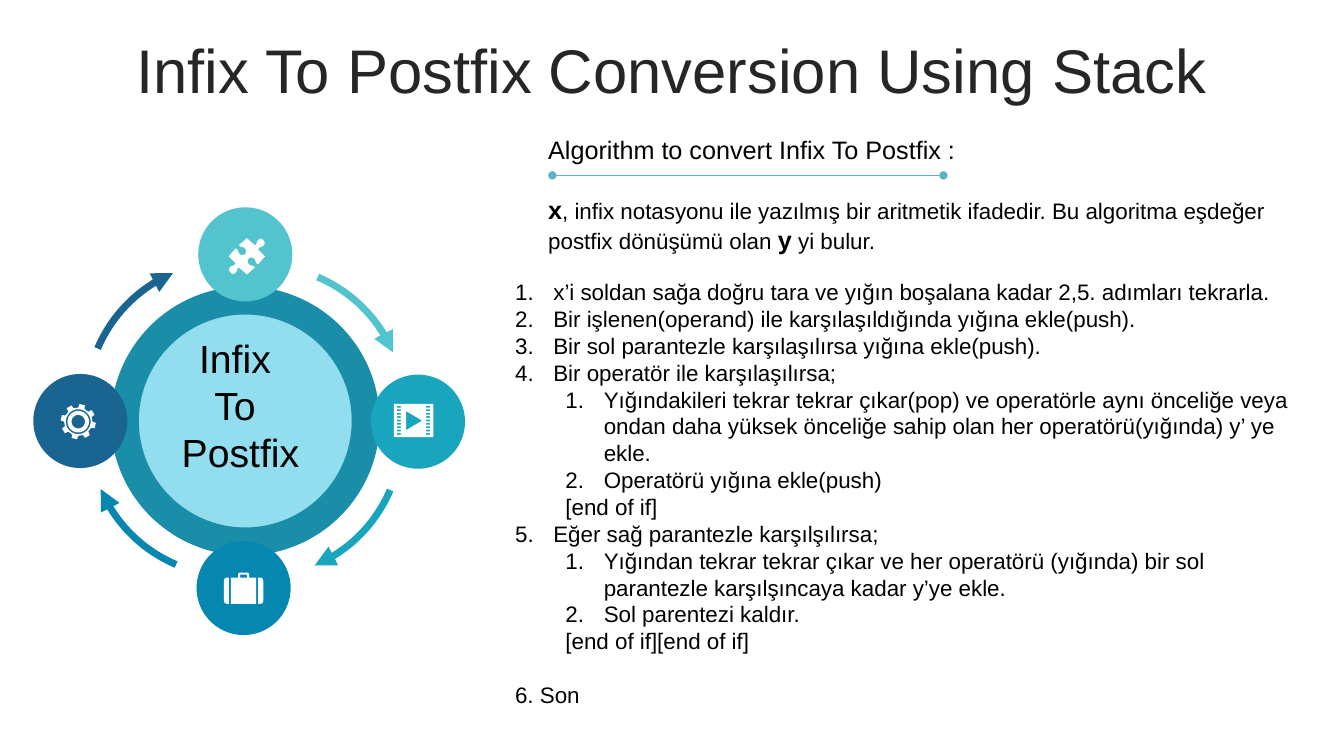
import math

import pptx
import pptx.dml.color
import pptx.enum.shapes
import pptx.enum.text
import pptx.oxml.ns
import pptx.util
from lxml import etree

CELL = 304800  # grid of 40 columns by 22.5 rows
COLS, ROWS = 40, 22.5
ICON_UNIT = 0.03  # icon outlines are drawn in hundredths of an inch
COLORS = {
    "title": "262626", "text": "000000", "icon": "FFFFFF", "rule": "5AB4C1",
    "disc": "92DDEE", "ring": "1A8EA9",
    "aqua": "53C3CD", "teal": "19A5BE", "blue": "0587AF", "navy": "196491",
}
ALIGN = pptx.enum.text.PP_ALIGN
ANCHOR = pptx.enum.text.MSO_ANCHOR


def cells(n):
    return pptx.util.Emu(round(n * CELL))


def rgb(name):
    return pptx.dml.color.RGBColor.from_string(COLORS[name])


def arc(cx, cy, r, start, end, steps=24):
    """Points from start to end degrees, clockwise from the right."""
    angles = [math.radians(start + (end - start) * i / steps) for i in range(steps + 1)]
    return [(cx + r * math.cos(a), cy + r * math.sin(a)) for a in angles]


def flatten(steps, n=6):
    """Turn (x, y) corners and (x1, y1, x2, y2, x, y) Bezier steps into points."""
    pts = []
    for step in steps:
        if len(step) == 2:
            pts.append(step)
            continue
        ctrl = [pts[-1], step[:2], step[2:4], step[4:]]
        for i in range(1, n + 1):
            t = i / n
            w = ((1 - t) ** 3, 3 * t * (1 - t) ** 2, 3 * t * t * (1 - t), t ** 3)
            pts.append(tuple(sum(k * p[d] for k, p in zip(w, ctrl)) for d in (0, 1)))
    return pts


def rect(left, top, right, bottom):
    return [(left, top), (right, top), (right, bottom), (left, bottom)]


def puzzle():
    half = flatten([
        (16, -16), (18, -15, 18, -13, 17, -11), (15, -9, 13, -10, 11, -7), (18, 0), (11, 8),
        (8, 6, 9, 4, 7, 2), (5, 1, 3, 1, 2, 2), (1, 3, 0, 6, 2, 8), (4, 10, 5, 8, 8, 11),
        (0, 18), (-8, 11), (-11, 13, -9, 14, -11, 16), (-13, 18, -15, 18, -16, 16)])
    return [half + [(-x, -y) for x, y in half]]


def film():
    holes = [rect(x, y, x + 4, y + 1.7)
             for x in (-16.5, 12.5) for y in (-14.5 + 3.37 * i for i in range(9))]
    return [rect(-19.5, -16.5, 19.5, 16.5), [(-7.5, -9.5), (-7.5, 9.5), (8.5, 0)]] + holes


def briefcase():
    side = flatten([(14.5, -11), (16.5, -11), (18.5, -11, 19.5, -9, 19.5, -8), (19.5, 12),
                    (19.5, 14, 18.5, 15, 16.5, 15), (14.5, 15)])
    middle = flatten([(3.5, -16), (4.5, -16, 5.5, -15, 5.5, -14), (5.5, -11), (12.5, -11), (12.5, 15)])
    body = middle + [(-x, y) for x, y in reversed(middle)]
    return [side, [(-x, y) for x, y in side], body, rect(-3.5, -14, 3.5, -11)]


def gear():
    teeth = []
    for tooth in range(8):
        for r, offset in ((14, -13), (17.5, -9), (17.5, 9), (14, 13)):
            a = math.radians(-77 + 45 * tooth + offset)
            teeth.append((r * math.cos(a), r * math.sin(a)))
    return [teeth] + [arc(0, 0, r, 0, 350, 35) for r in (12.3, 10.7, 6.7)]


class Deck:
    font = "Arial"

    def __init__(self):
        self.prs = pptx.Presentation()
        self.prs.slide_width, self.prs.slide_height = cells(COLS), cells(ROWS)
        self.slide = self.prs.slides.add_slide(self.prs.slide_layouts[1])
        self.shapes = self.slide.shapes

    def style(self, r, size, color="text", bold=False):
        r.font.name, r.font.size, r.font.bold = self.font, pptx.util.Pt(size), bold
        r.font.color.rgb = rgb(color)

    def frame(self, sp, box, anchor=ANCHOR.TOP):
        sp.left, sp.top, sp.width, sp.height = map(cells, box)
        tf = sp.text_frame
        tf.word_wrap, tf.vertical_anchor = True, anchor
        tf.auto_size = pptx.enum.text.MSO_AUTO_SIZE.NONE
        return tf

    def spacing(self, p, size, before=0):
        p.line_spacing = pptx.util.Pt(1.2 * size)
        p.space_before = pptx.util.Pt(before)

    def title(self, text, box):
        tf = self.frame(self.shapes.title, box, ANCHOR.MIDDLE)
        tf.text = text
        p = tf.paragraphs[0]
        p.alignment, p.line_spacing, p.space_before = ALIGN.CENTER, 0.9, pptx.util.Pt(10)
        self.style(p.runs[0], 44, "title")

    def text(self, box, paragraphs, size, gap=0, align=ALIGN.LEFT, anchor=ANCHOR.TOP):
        """Each paragraph is a list of (text, size, bold) runs."""
        tf = self.frame(self.shapes.add_textbox(0, 0, 0, 0), box, anchor)
        for i, runs in enumerate(paragraphs):
            p = tf.add_paragraph() if i else tf.paragraphs[0]
            p.alignment = align
            self.spacing(p, size, gap if i else 0)
            for text, run_size, bold in runs:
                r = p.add_run()
                r.text = text
                self.style(r, run_size, bold=bold)

    def steps(self, box, items, size):
        """Each item is (level, numbered, left margin in inches, space before, text)."""
        tf = self.frame(self.slide.placeholders[1], box)
        tf.text = "\n".join(item[-1] for item in items)
        for p, (level, numbered, margin, before, _) in zip(tf.paragraphs, items):
            p.level, p.alignment = level, ALIGN.LEFT
            self.spacing(p, size, before)
            pPr = p._p.get_or_add_pPr()
            pPr.set("marL", str(pptx.util.Inches(margin)))
            pPr.set("indent", str(pptx.util.Inches(-0.38 if numbered else 0)))
            if numbered:
                etree.SubElement(pPr, pptx.oxml.ns.qn("a:buFont"), typeface="+mj-lt")
                etree.SubElement(pPr, pptx.oxml.ns.qn("a:buAutoNum"), type="arabicPeriod")
            else:
                etree.SubElement(pPr, pptx.oxml.ns.qn("a:buNone"))
            self.style(p.runs[0], size)

    def circle(self, cx, cy, d, fill, line=None, width=0):
        sp = self.shapes.add_shape(pptx.enum.shapes.MSO_SHAPE.OVAL,
                                   *map(cells, (cx - d / 2, cy - d / 2, d, d)))
        self.paint(sp, fill, line, width)

    def paint(self, sp, fill=None, line=None, width=0):
        sp.shadow.inherit = False
        if fill:
            sp.fill.solid()
            sp.fill.fore_color.rgb = rgb(fill)
        else:
            sp.fill.background()
        if line:
            self.stroke(sp, line, width)
        else:
            sp.line.fill.background()

    def stroke(self, sp, color, width, **ends):
        sp.line.color.rgb, sp.line.width = rgb(color), pptx.util.Pt(width)
        for end, kind in ends.items():
            etree.SubElement(sp.line._get_or_add_ln(), pptx.oxml.ns.qn(f"a:{end}"), type=kind)

    def outline(self, contours, closed=True):
        pts = [[(cells(x), cells(y)) for x, y in c] for c in contours]
        fb = self.shapes.build_freeform(*pts[0][0])
        for i, c in enumerate(pts):
            if i:
                fb.move_to(*c[0])
            fb.add_line_segments(c[1:], close=closed)
        return fb.convert_to_shape()

    def arc_arrow(self, cx, cy, start, color):
        sp = self.outline([arc(cx, cy, 4.24, start, start + 44)], closed=False)
        self.paint(sp)
        self.stroke(sp, color, 5, tailEnd="triangle")

    def icon(self, cx, cy, contours):
        sp = self.outline([[(cx + x * ICON_UNIT, cy + y * ICON_UNIT) for x, y in c]
                           for c in contours])
        self.paint(sp, "icon")

    def rule(self, x1, x2, y):
        sp = self.shapes.add_connector(pptx.enum.shapes.MSO_CONNECTOR.STRAIGHT,
                                       *map(cells, (x1, y, x2, y)))
        self.stroke(sp, "rule", 1, headEnd="oval", tailEnd="oval")
        etree.SubElement(sp._element.spPr, pptx.oxml.ns.qn("a:effectLst"))


def main():
    deck = Deck()
    deck.title("Infix To Postfix Conversion Using Stack", (1, 1, 38, 2.37))

    deck.circle(7.3, 12.53, 7.17, "disc", "ring", 20)
    for cx, cy, start, color in ((6.81, 12.03, 203, "navy"), (7.71, 12.93, 23, "teal"),
                                 (7.8, 12.15, 293, "aqua"), (6.9, 12.9, 113, "blue")):
        deck.arc_arrow(cx, cy, start, color)
    deck.text((4.17, 9.78, 5.97, 4.53), [[(word, 28, False)] for word in ("Infix ", "To ", "Postfix")],
              28, align=ALIGN.CENTER, anchor=ANCHOR.MIDDLE)
    for cx, cy, color, ix, iy, icon in (
            (7.3, 7.57, "aqua", 7.35, 7.63, puzzle), (7.25, 17.5, "blue", 7.25, 17.52, briefcase),
            (12.44, 12.55, "teal", 12.31, 12.52, film), (2.39, 12.53, "navy", 2.33, 12.55, gear)):
        deck.circle(cx, cy, 2.8, color)
        deck.icon(ix, iy, icon())

    deck.rule(16.44, 28.08, 5.22)
    deck.text((16.02, 3.84, 22.5, 3.93), [
        [("Algorithm to convert Infix To Postfix :", 18, False)],
        [("x", 18, True),
         (", infix notasyonu ile yazılmış bir aritmetik ifadedir. Bu algoritma eşdeğer "
          "postfix dönüşümü olan ", 16, False),
         ("y", 18, True), (" yi bulur.", 16, False)]], 18, gap=21.6)

    step, substep, end = (0, True, 0.38, 0), (1, True, 0.88, 0), (1, False, 0.5, 0)
    deck.steps((15.03, 8.13, 23.97, 13.23), [
        (*step, "x’i soldan sağa doğru tara ve yığın boşalana kadar 2,5. adımları tekrarla."),
        (*step, "Bir işlenen(operand) ile karşılaşıldığında yığına ekle(push)."),
        (*step, "Bir sol parantezle karşılaşılırsa yığına ekle(push)."),
        (*step, "Bir operatör ile karşılaşılırsa;"),
        (*substep, "Yığındakileri tekrar tekrar çıkar(pop) ve operatörle aynı önceliğe veya ondan "
                   "daha yüksek önceliğe sahip olan her operatörü(yığında) y’ ye ekle."),
        (*substep, "Operatörü yığına ekle(push)"),
        (*end, "[end of if]"),
        (*step, "Eğer sağ parantezle karşılşılırsa;"),
        (*substep, "Yığından tekrar tekrar çıkar ve her operatörü (yığında) bir sol parantezle "
                   "karşılşıncaya kadar y’ye ekle."),
        (*substep, "Sol parentezi kaldır."),
        (*end, "[end of if][end of if]"),
        (0, False, 0, 19.2, "6. Son")], 16)
    deck.prs.save("out.pptx")


if __name__ == "__main__":
    main()
